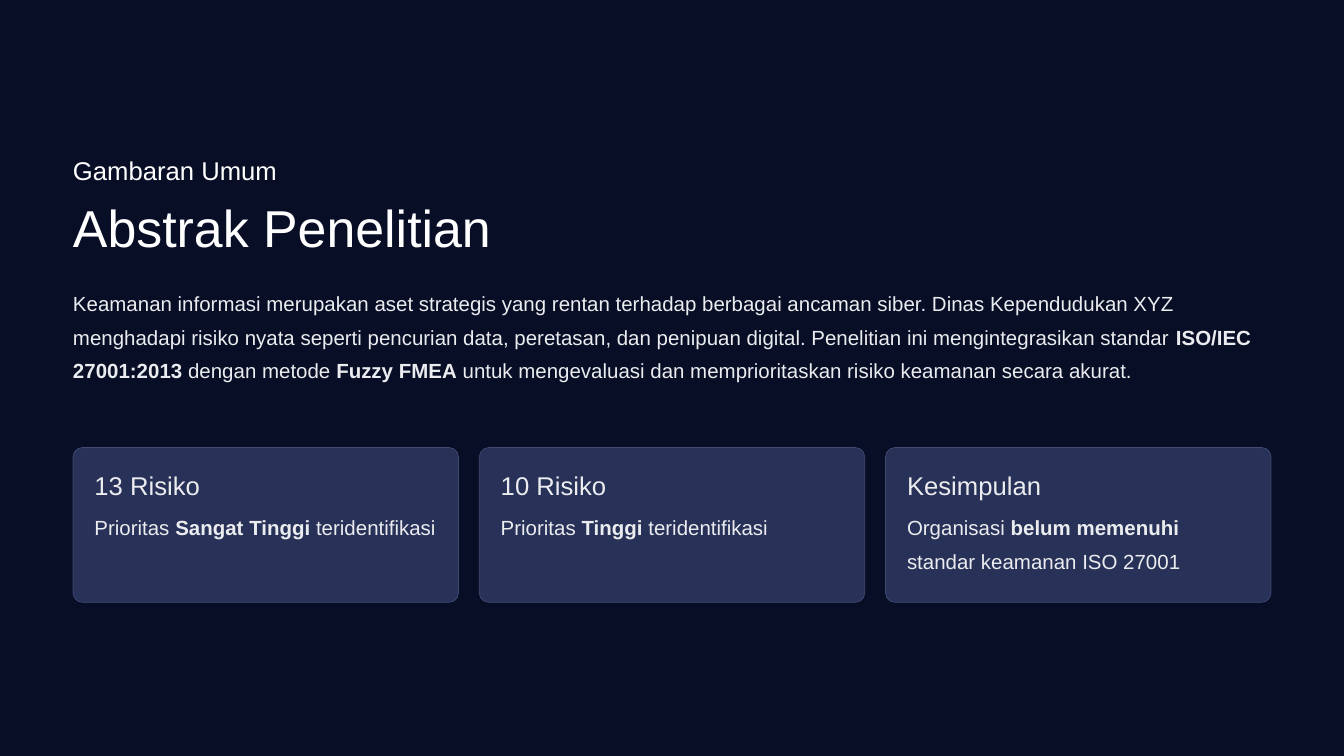
import pptx
import pptx.util
import pptx.dml.color
import pptx.enum.shapes
from pptx.util import Cm

INK = "EBECEF"
CARDS = [
    ("13 Risiko", ["Prioritas ", "Sangat Tinggi", " teridentifikasi"]),
    ("10 Risiko", ["Prioritas ", "Tinggi", " teridentifikasi"]),
    ("Kesimpulan", ["Organisasi ", "belum memenuhi", " standar keamanan ISO 27001"]),
]
ABSTRACT = [
    "Keamanan informasi merupakan aset strategis yang rentan terhadap berbagai "
    "ancaman siber. Dinas Kependudukan XYZ menghadapi risiko nyata seperti "
    "pencurian data, peretasan, dan penipuan digital. Penelitian ini "
    "mengintegrasikan standar ",
    "ISO/IEC 27001:2013",
    " dengan metode ",
    "Fuzzy FMEA",
    " untuk mengevaluasi dan memprioritaskan risiko keamanan secara akurat.",
]


def paint(fill, color):
    """Make a fill solid in a hex colour."""
    fill.solid()
    fill.fore_color.rgb = pptx.dml.color.RGBColor.from_string(color)


def write(slide, box, parts, size, line, color):
    """Place one paragraph whose every second part is bold."""
    frame = slide.shapes.add_textbox(*box).text_frame
    frame.word_wrap = True
    frame.margin_left = frame.margin_right = 0
    frame.margin_top = frame.margin_bottom = 0
    para = frame.paragraphs[0]
    para.line_spacing = pptx.util.Pt(line)
    para.font.name = "Arial"
    para.font.size = pptx.util.Pt(size)
    paint(para.font.fill, color)
    for i, part in enumerate(parts):
        run = para.add_run()
        run.text = part
        if i % 2:
            run.font.bold = True


def add_intro(slide, left, top, width):
    """Place the label, the title and the abstract."""
    write(slide, (left, top, width, Cm(1.24)), ["Gambaran Umum"], 27.5, 34.4, "FFFFFF")
    write(slide, (left, top + Cm(1.5), width, Cm(2.51)),
          ["Abstrak Penelitian"], 55.6, 69.4, "FFFFFF")
    write(slide, (left, top + Cm(4.9), width, Cm(5.33)), ABSTRACT, 21.9, 35.6, INK)


def add_card(slide, left, top, width, height, title, parts):
    """Place a rounded card with a heading and a short text."""
    card = slide.shapes.add_shape(
        pptx.enum.shapes.MSO_SHAPE.ROUNDED_RECTANGLE, left, top, width, height)
    card.adjustments[0] = 0.06
    card.shadow.inherit = False
    paint(card.fill, "283157")
    paint(card.line.fill, "414A70")
    card.line.width = pptx.util.Pt(0.75)
    pad = Cm(0.81)
    inner = width - 2 * pad
    write(slide, (left + pad, top + Cm(0.79), inner, Cm(1.24)), [title], 27.5, 34.4, INK)
    write(slide, (left + pad, top + Cm(2.24), inner, Cm(2.82)), parts, 21.9, 35.6, INK)


def add_cards(slide, left, top, width, height):
    """Spread the cards evenly over a row."""
    gap = Cm(0.79)
    each = (width - gap * (len(CARDS) - 1)) // len(CARDS)
    for i, (title, parts) in enumerate(CARDS):
        add_card(slide, left + i * (each + gap), top, each, height, title, parts)


def main():
    """Build and save the slide."""
    deck = pptx.Presentation()
    deck.slide_width, deck.slide_height = Cm(50.8), Cm(28.58)
    slide = deck.slides.add_slide(deck.slide_layouts[6])
    paint(slide.background.fill, "080E26")
    left, width = Cm(2.76), Cm(45.28)
    add_intro(slide, left, Cm(5.79), width)
    add_cards(slide, left, Cm(16.92), width, Cm(5.85))
    deck.save("out.pptx")


if __name__ == "__main__":
    main()
